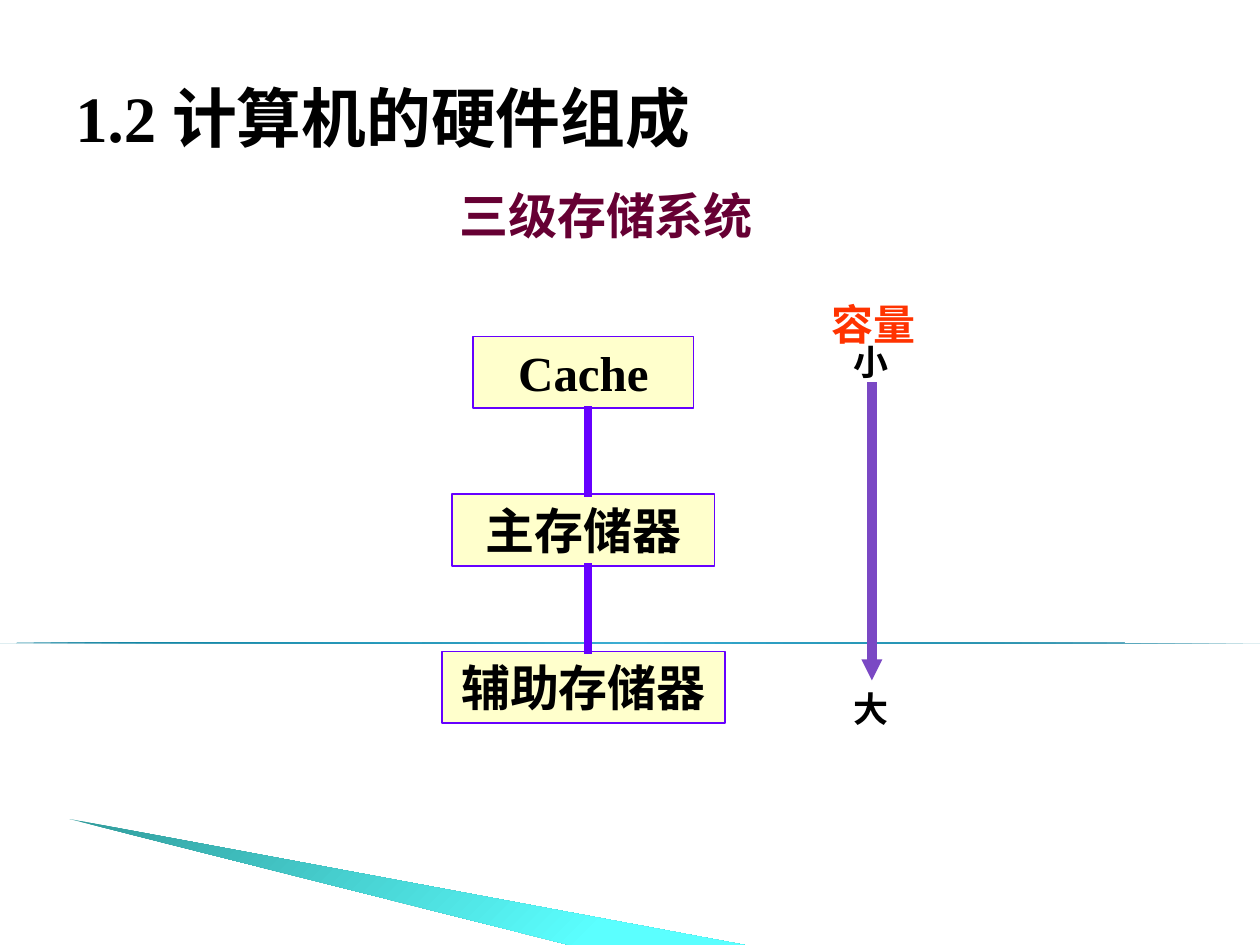
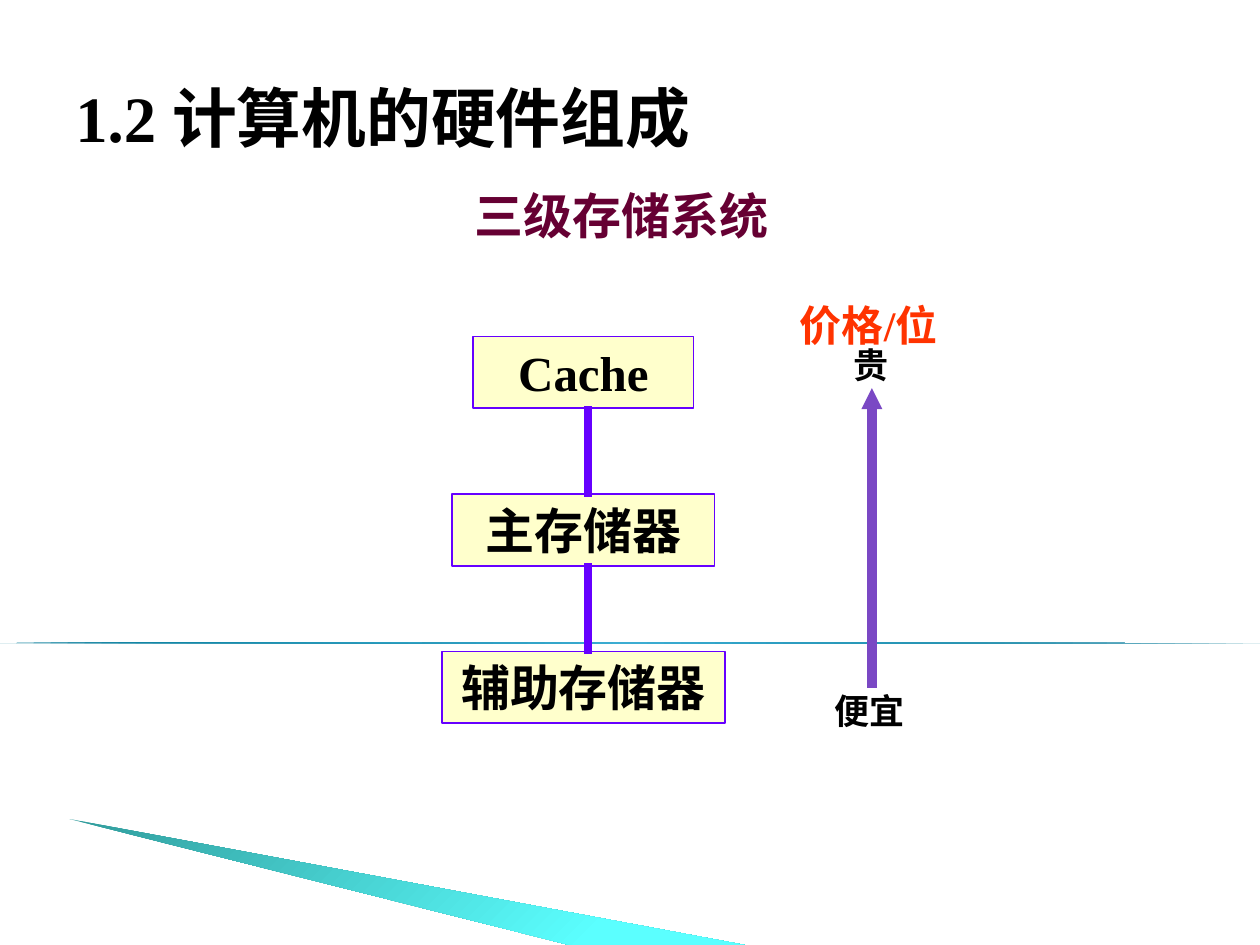
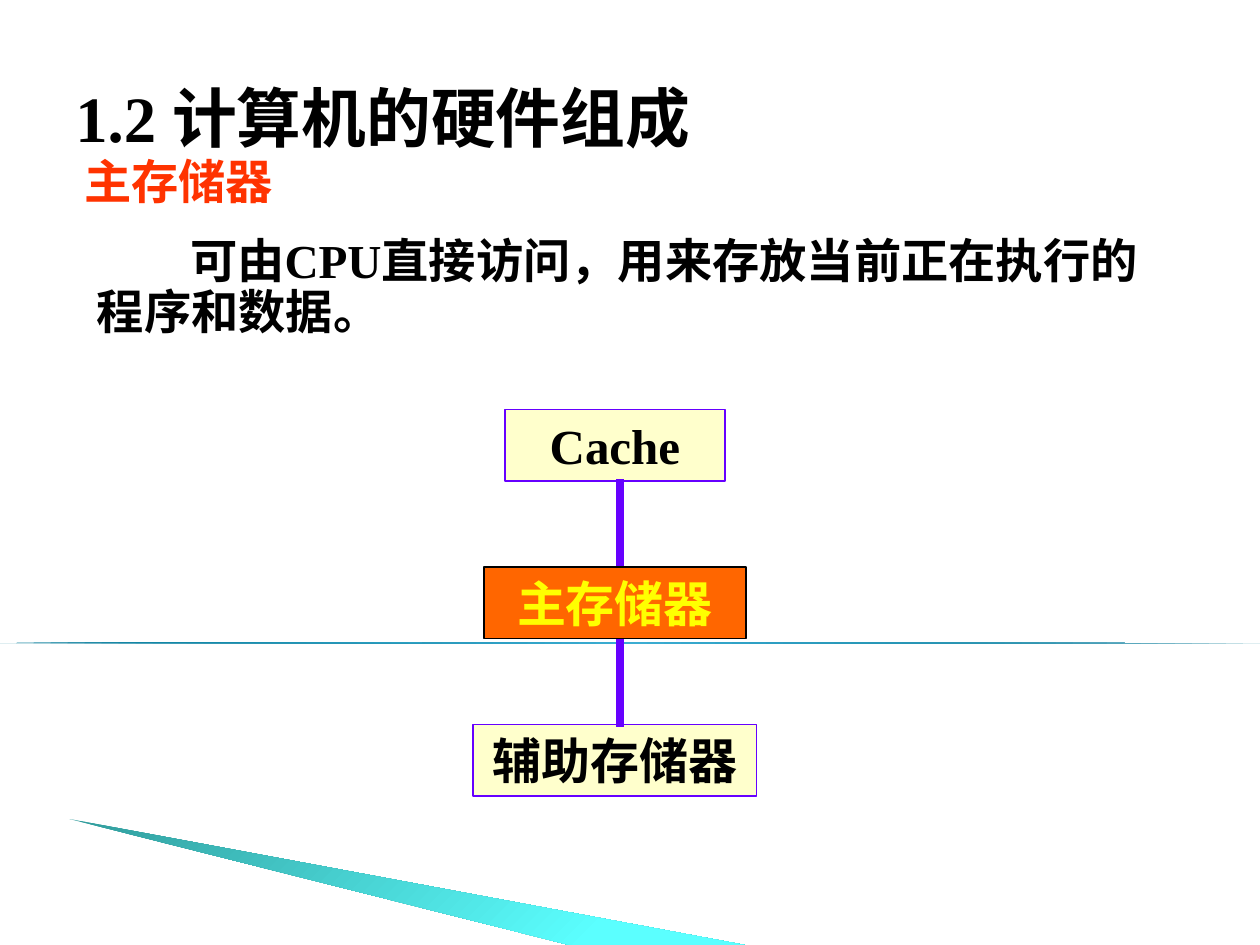
import copy
from lxml import etree
from pptx import Presentation
from pptx import util as u
from pptx.dml import color
from pptx.enum import shapes, text
from pptx.oxml import ns

INK, VIOLET, CREAM, RED = "000000", "6600FF", "FFFFCC", "FF3300"
TIMES, NOTO = "Times New Roman", "Noto Sans CJK SC"
LEFT, CENTER = text.PP_ALIGN.LEFT, text.PP_ALIGN.CENTER


def rgb(value):
    return color.RGBColor.from_string(value)


def write(sp, lines, size, ink, align=LEFT, name=TIMES):
    tf = sp.text_frame
    tf.word_wrap = True
    tf.vertical_anchor = text.MSO_ANCHOR.MIDDLE
    for i, line in enumerate(lines):
        p = tf.paragraphs[0] if i == 0 else tf.add_paragraph()
        p.alignment = align
        r = p.add_run()
        r.text = line
        for key, value in {"size": u.Pt(size), "bold": True, "name": name}.items():
            setattr(r.font, key, value)
        r.font.color.rgb = rgb(ink)
        etree.SubElement(r._r.get_or_add_rPr(), ns.qn("a:ea"), typeface=NOTO)
    return tf


prs = Presentation()
prs.slide_width, prs.slide_height = u.Inches(10), u.Inches(7.5)

slides = [
    {"x": 4.63, "y": 2.67, "subtitle": 2.74,
     "arrow": (3.07, 5.4),
     "labels": [("小", 6.67, 2.65, 0.48), ("大", 6.67, 5.4, 0.48)],
     "measure": ("容量", 6.5, 2.32, 1.08)},
    {"x": 4.63, "y": 2.67, "subtitle": 2.98,
     "arrow": (5.42, 3.08),
     "labels": [("贵", 6.67, 2.67, 0.48), ("便宜", 6.53, 5.42, 0.75)],
     "measure": ("价格/位", 6.25, 2.33, 1.5)},
    {"x": 4.88, "y": 3.25,
     "body": ["主存储器", "可由CPU直接访问，用来存放当前正在执行的程序和数据。"]},
]
levels = [("Cache", 1.75), ("主存储器", 2.08), ("辅助存储器", 2.25)]
pitch, box_height = 1.25, 0.57

for data in slides:
    s = prs.slides.add_slide(prs.slide_layouts[6])

    rule = s.shapes.add_shape(shapes.MSO_SHAPE.RIGHT_TRIANGLE, 0, u.Inches(5.1),
                              u.Inches(10), u.Pt(0.25))
    fb = s.shapes.build_freeform(u.Inches(0.55), u.Inches(6.5), 1.0)
    fb.add_line_segments([(u.Inches(x), u.Inches(7.5)) for x in (5.91, 4.52)])
    wedge = fb.convert_to_shape()
    for sp, angle, stops in [
        (rule, 310, [(0, "007897"), (0.5, "4ABBE0"), (1, "007897")]),
        (wedge, 315, [(0, "319C9C"), (0.8, "5BFFFF")]),
    ]:
        sp.shadow.inherit = False
        sp.line.fill.background()
        sp.fill.gradient()
        sp.fill.gradient_angle = angle
        gs = sp._element.spPr.find(".//" + ns.qn("a:gsLst"))
        for _ in stops[2:]:
            gs.insert(1, copy.deepcopy(gs[0]))
        for stop, (position, value) in zip(sp.fill.gradient_stops, stops):
            stop.position = position
            stop.color.rgb = rgb(value)

    title = s.shapes.add_textbox(u.Inches(0.5), u.Inches(0.3), u.Inches(9), u.Inches(1.25))
    write(title, ["1.2 计算机的硬件组成"], 37, INK)

    boxes = []
    for i, (name, width) in enumerate(levels):
        sp = s.shapes.add_shape(shapes.MSO_SHAPE.RECTANGLE, u.Inches(data["x"] - width / 2),
                                u.Inches(data["y"] + i * pitch),
                                u.Inches(width), u.Inches(box_height))
        active = "body" in data and i == 1
        sp.shadow.inherit = False
        sp.fill.solid()
        sp.fill.fore_color.rgb = rgb("FF6600" if active else CREAM)
        sp.line.color.rgb = rgb(INK if active else VIOLET)
        sp.line.width = u.Pt(0.75 if active else 1)
        write(sp, [name], 28, "FFFF00" if active else INK, CENTER)
        boxes.append(sp)

    lines = []
    for i in range(2):
        top = data["y"] + i * pitch + 0.58
        lines.append((data["x"] + 0.04, top, top + 0.66, VIOLET, 4.5))
    if "arrow" in data:
        lines.append((6.92, *data["arrow"], "7A48C4", 6))
    for x, start, end, ink, width in lines:
        cn = s.shapes.add_connector(shapes.MSO_CONNECTOR.STRAIGHT, u.Inches(x),
                                    u.Inches(start), u.Inches(x), u.Inches(end))
        cn.line.color.rgb = rgb(ink)
        cn.line.width = u.Pt(width)
        ln = cn.line._get_or_add_ln()
        ln.set("cap", "sq")
        if width == 6:
            etree.SubElement(ln, ns.qn("a:tailEnd"), type="triangle", w="sm", len="sm")
        etree.SubElement(cn._element.spPr, ns.qn("a:effectLst"))

    if "body" in data:
        s.shapes._spTree.append(boxes[1]._element)
        body = s.shapes.add_textbox(u.Inches(0.27), u.Inches(1.15), u.Inches(9.17), u.Inches(1.92))
        tf = write(body, data["body"], 27, INK)
        tf.vertical_anchor = text.MSO_ANCHOR.TOP
        for p, margin, indent, spacing in zip(tf.paragraphs, (0.3, 0.4), (0, 0.74), (33, 29)):
            p.line_spacing = u.Pt(spacing)
            pPr = p._p.get_or_add_pPr()
            pPr.set("marL", str(u.Inches(margin)))
            pPr.set("indent", str(u.Inches(indent)))
        tf.paragraphs[0].runs[0].font.color.rgb = rgb(RED)
        tf.paragraphs[1].space_before = u.Pt(16.5)
    else:
        subtitle = s.shapes.add_textbox(u.Inches(3.44), u.Inches(1.42),
                                        u.Inches(data["subtitle"]), u.Inches(box_height))
        write(subtitle, ["三级存储系统"], 28, "660033", CENTER, NOTO)
        for label, x, y, width in data["labels"]:
            sp = s.shapes.add_textbox(u.Inches(x), u.Inches(y), u.Inches(width), u.Inches(0.44))
            tf = write(sp, [label], 20, INK, CENTER)
            tf.margin_left = tf.margin_right = u.Inches(0.05)
        label, x, y, width = data["measure"]
        sp = s.shapes.add_textbox(u.Inches(x), u.Inches(y), u.Inches(width), u.Inches(0.5))
        write(sp, [label], 24, RED)

prs.save("out.pptx")
